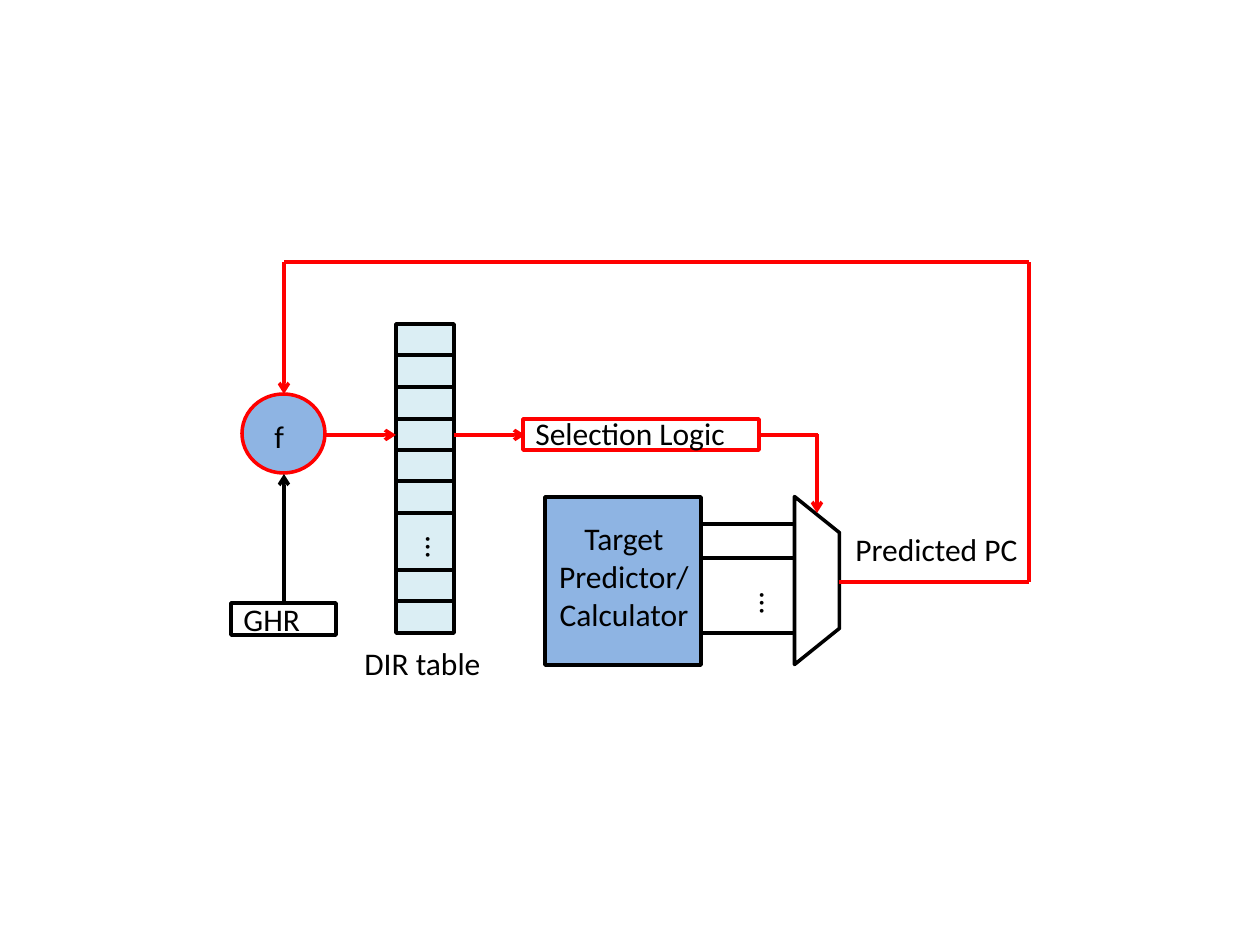
from dataclasses import dataclass
from itertools import accumulate
from typing import Optional

import pptx
import pptx.dml.color
import pptx.enum.shapes
import pptx.enum.text
import pptx.oxml
import pptx.oxml.ns
import pptx.util

PX = 914400 // 126
SHAPE = pptx.enum.shapes.MSO_SHAPE
BOX = SHAPE.FLOWCHART_PROCESS


@dataclass(frozen=True)
class Theme:
    font: str = "Calibri"
    size: int = 18
    line_width: int = 2
    black: str = "000000"
    red: str = "FF0000"
    blue: str = "8EB4E3"
    pale: str = "DBEEF4"


@dataclass(frozen=True)
class Block:
    x: int
    y: int
    w: int
    h: int
    fill: Optional[str] = None
    line: str = "000000"
    kind: int = BOX
    rotation: int = 0
    adjust: Optional[float] = None


@dataclass(frozen=True)
class Wire:
    x1: int
    y1: int
    x2: int
    y2: int
    color: str = "000000"
    arrow: bool = False


@dataclass(frozen=True)
class Label:
    x: int
    y: int
    w: int
    h: int
    text: str
    centered: bool = False
    vertical: bool = False


def rgb(value: str):
    return pptx.dml.color.RGBColor.from_string(value)


def set_line(line, color: str) -> None:
    line.color.rgb = rgb(color)
    line.width = pptx.util.Pt(theme.line_width)


def draw_block(b: Block) -> None:
    sp = slide.shapes.add_shape(b.kind, b.x * PX, b.y * PX, b.w * PX, b.h * PX)
    sp.shadow.inherit = False
    sp.rotation = b.rotation
    if b.adjust is not None:
        sp.adjustments[0] = b.adjust
    if b.fill:
        sp.fill.solid()
        sp.fill.fore_color.rgb = rgb(b.fill)
    else:
        sp.fill.background()
    set_line(sp.line, b.line)


def draw_wire(w: Wire) -> None:
    line = slide.shapes.add_connector(
        pptx.enum.shapes.MSO_CONNECTOR.STRAIGHT,
        w.x1 * PX, w.y1 * PX, w.x2 * PX, w.y2 * PX)
    set_line(line.line, w.color)
    if w.arrow:
        tail = pptx.oxml.parse_xml(
            f'<a:tailEnd {pptx.oxml.ns.nsdecls("a")} type="arrow"/>')
        line.line._get_or_add_ln().append(tail)
    line._element.spPr.append(pptx.oxml.parse_xml(
        f'<a:effectLst {pptx.oxml.ns.nsdecls("a")}/>'))


def draw_label(t: Label) -> None:
    sp = slide.shapes.add_textbox(t.x * PX, t.y * PX, t.w * PX, t.h * PX)
    tf = sp.text_frame
    tf.word_wrap = True
    tf.auto_size = pptx.enum.text.MSO_AUTO_SIZE.SHAPE_TO_FIT_TEXT
    if t.vertical:
        tf._txBody.bodyPr.set("vert", "eaVert")
    tf.text = t.text
    style = {"name": theme.font, "size": pptx.util.Pt(theme.size)}
    for p in tf.paragraphs:
        if t.centered:
            p.alignment = pptx.enum.text.PP_ALIGN.CENTER
        for r in p.runs:
            for name, value in style.items():
                setattr(r.font, name, value)
            r.font.color.rgb = rgb(theme.black)


theme = Theme()
prs = pptx.Presentation()
prs.slide_width = pptx.util.Inches(10)
prs.slide_height = pptx.util.Inches(7.5)
slide = prs.slides.add_slide(prs.slide_layouts[6])

# DIR table: the tall row holds the ellipsis
row_heights = [31, 32, 32, 31, 31, 32, 57, 31, 32]
row_tops = accumulate(row_heights[:-1], initial=324)
dir_rows = [Block(396, y, 58, h, theme.pale)
            for y, h in zip(row_tops, row_heights)]

# Registers, hash function, selection logic, predictor and multiplexer
blocks = dir_rows + [
    Block(231, 603, 105, 32),
    Block(242, 394, 83, 79, theme.blue, theme.red, SHAPE.OVAL),
    Block(523, 419, 236, 31, line=theme.red),
    Block(733, 558, 168, 45, kind=SHAPE.TRAPEZOID, rotation=90, adjust=0.804),
    Block(545, 497, 156, 168, theme.blue),
]

# Predictor outputs, then the selection path and the feedback loop
wires = [Wire(702, y, 794, y) for y in (524, 558, 633)] + [
    Wire(284, 603, 284, 474, arrow=True),
    Wire(325, 435, 396, 435, theme.red, True),
    Wire(454, 435, 525, 435, theme.red, True),
    Wire(759, 435, 818, 435, theme.red),
    Wire(817, 434, 817, 513, theme.red, True),
    Wire(839, 582, 1029, 582, theme.red),
    Wire(1029, 582, 1029, 262, theme.red),
    Wire(1029, 262, 284, 262, theme.red),
    Wire(284, 262, 284, 394, theme.red, True),
]

labels = [
    Label(231, 594, 105, 51, "GHR"),
    Label(262, 411, 63, 51, "f"),
    Label(401, 524, 63, 72, "…", vertical=True),
    Label(523, 408, 236, 51, "Selection Logic"),
    Label(735, 580, 63, 45, "…", vertical=True),
    Label(545, 513, 158, 127, "Target\nPredictor/\nCalculator", centered=True),
    Label(843, 524, 207, 51, "Predicted PC"),
    Label(352, 638, 163, 51, "DIR table"),
]

for block in blocks:
    draw_block(block)
for wire in wires:
    draw_wire(wire)
for label in labels:
    draw_label(label)

prs.save("out.pptx")
